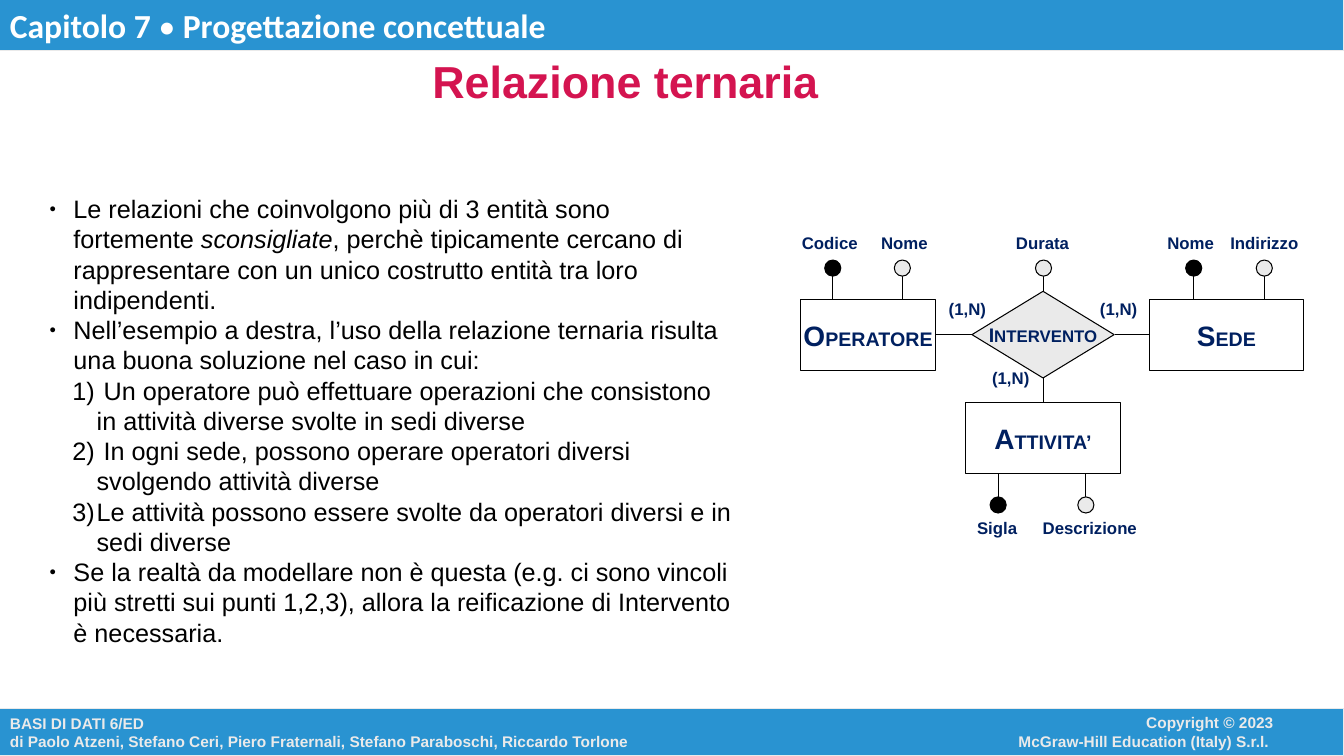
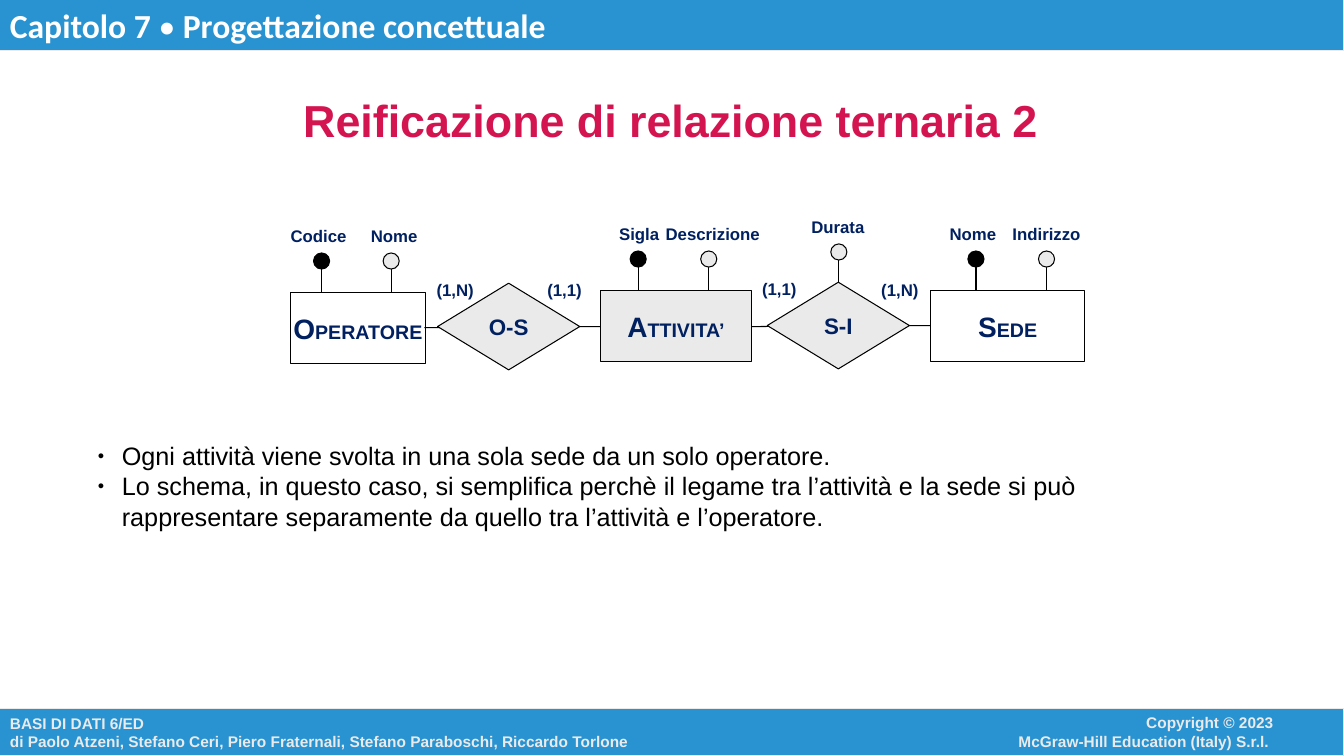
"""Build two slides on ternary relationships in entity-relationship schemas."""
from dataclasses import dataclass
from typing import Optional

from lxml import etree
from pptx import Presentation
from pptx.dml.color import RGBColor
from pptx.enum import shapes, text
from pptx.oxml import ns
from pptx.util import Inches, Pt

BLUE = RGBColor(0x29, 0x93, 0xD1)
CRIMSON = RGBColor(0xD4, 0x14, 0x50)
NAVY = RGBColor(0x00, 0x20, 0x60)
GRAY = RGBColor(0xEA, 0xEA, 0xEA)
BLACK = RGBColor(0, 0, 0)
WHITE = RGBColor(255, 255, 255)

RECT = shapes.MSO_SHAPE.RECTANGLE
DIAMOND = shapes.MSO_SHAPE.DIAMOND
OVAL = shapes.MSO_SHAPE.OVAL
LEFT, CENTER, RIGHT = text.PP_ALIGN.LEFT, text.PP_ALIGN.CENTER, text.PP_ALIGN.RIGHT
TOP, MIDDLE = text.MSO_ANCHOR.TOP, text.MSO_ANCHOR.MIDDLE

PAGE_WIDTH, PAGE_HEIGHT = 13.33, 7.5
ENTITY_HEIGHT = 0.71
DIAMOND_WIDTH, DIAMOND_HEIGHT = 1.41, 0.86
BALL, STEM, LABEL_HEIGHT = 0.16, 0.31, 0.3
LABEL_WIDTHS = {
    "Codice": 0.75, "Nome": 0.66, "Durata": 0.72, "Indirizzo": 0.87,
    "Sigla": 0.6, "Descrizione": 1.13, "(1,N)": 0.57, "(1,1)": 0.54,
}


@dataclass(frozen=True)
class Span:
    """A stretch of text with its own emphasis."""
    text: str
    size: Optional[int] = None
    bold: Optional[bool] = None
    italic: Optional[bool] = None


@dataclass(frozen=True)
class Style:
    """The look of a paragraph."""
    size: int
    color: RGBColor
    bold: bool = True
    align: text.PP_ALIGN = LEFT
    font: str = "Arial"


@dataclass(frozen=True)
class Node:
    """An entity or a relationship with its name."""
    shape: shapes.MSO_SHAPE
    left: float
    top: float
    width: float
    name: tuple[Span, ...]
    fill: Optional[RGBColor] = None


@dataclass(frozen=True)
class Attribute:
    """A labelled ball on a stem that leaves a node edge."""
    label: str
    x: float
    edge: float
    label_x: float
    key: bool = False
    below: bool = False


@dataclass(frozen=True)
class Link:
    """A straight line between two points."""
    x1: float
    y1: float
    x2: float
    y2: float


@dataclass(frozen=True)
class Cardinality:
    """A participation constraint beside a link."""
    label: str
    left: float
    top: float


@dataclass(frozen=True)
class Item:
    """A bulleted or numbered paragraph."""
    spans: tuple[Span, ...]
    numbered: bool = False


@dataclass(frozen=True)
class Topic:
    """Everything that one slide shows."""
    title: str
    title_at: tuple[float, float]
    nodes: tuple[Node, ...]
    attributes: tuple[Attribute, ...]
    links: tuple[Link, ...]
    cardinalities: tuple[Cardinality, ...]
    items: tuple[Item, ...]
    body: tuple[float, float, float, float]


LABEL = Style(12, NAVY, align=CENTER)
NAME = Style(20, NAVY, align=CENTER)
TITLE = Style(32, CRIMSON, align=CENTER)
HEADER = Style(24, WHITE, font="Calibri")
FOOTER = Style(11, GRAY)
COPYRIGHT = Style(11, GRAY, align=RIGHT)
BODY = Style(18, BLACK, bold=False)


def small_caps(name: str, large: int = 20, small: int = 14) -> tuple[Span, ...]:
    """Split a name into a large initial and smaller capitals."""
    return Span(name[0], large), Span(name[1:], small)


def entity(name: str, left: float, top: float, width: float,
           fill: Optional[RGBColor] = None) -> Node:
    """Describe an entity."""
    return Node(RECT, left, top, width, small_caps(name), fill)


def relationship(name: tuple[Span, ...], left: float, top: float) -> Node:
    """Describe a relationship."""
    return Node(DIAMOND, left, top, DIAMOND_WIDTH, name, GRAY)


def write(para, spans: tuple[Span, ...], style: Style) -> None:
    """Fill a paragraph with styled spans."""
    para.alignment = style.align
    font = para.font
    font.name, font.size, font.bold = style.font, Pt(style.size), style.bold
    font.color.rgb = style.color
    for span in spans:
        run = para.add_run()
        run.text = span.text
        if span.size is not None:
            run.font.size = Pt(span.size)
        if span.bold is not None:
            run.font.bold = span.bold
        if span.italic is not None:
            run.font.italic = span.italic


def set_frame(box, anchor: text.MSO_ANCHOR, wrap: bool):
    """Set anchoring and wrapping, drop side margins of unwrapped text, return the frame."""
    frame = box.text_frame
    frame.vertical_anchor, frame.word_wrap = anchor, wrap
    if not wrap:
        frame.margin_left = frame.margin_right = 0
    return frame


def add_text(page, left: float, top: float, width: float, height: float,
             lines: tuple[str, ...], style: Style,
             anchor: text.MSO_ANCHOR = TOP, wrap: bool = True) -> None:
    """Add a text box with one paragraph per line."""
    box = page.shapes.add_textbox(*map(Inches, (left, top, width, height)))
    frame = set_frame(box, anchor, wrap)
    for index, line in enumerate(lines):
        para = frame.add_paragraph() if index else frame.paragraphs[0]
        write(para, (Span(line),), style)


def add_shape(page, kind: shapes.MSO_SHAPE, left: float, top: float, width: float,
              height: float, fill: Optional[RGBColor], line: RGBColor = BLACK):
    """Add an outlined preset shape."""
    shape = page.shapes.add_shape(kind, *map(Inches, (left, top, width, height)))
    shape.shadow.inherit = False
    if fill is None:
        shape.fill.background()
    else:
        shape.fill.solid()
        shape.fill.fore_color.rgb = fill
    shape.line.color.rgb = line
    shape.line.width = Pt(0.75)
    return shape


def add_link(page, link: Link) -> None:
    """Draw a thin black line."""
    ends = map(Inches, (link.x1, link.y1, link.x2, link.y2))
    line = page.shapes.add_connector(shapes.MSO_CONNECTOR.STRAIGHT, *ends)
    line.line.color.rgb = BLACK
    line.line.width = Pt(0.75)
    etree.SubElement(line._element.spPr, ns.qn("a:effectLst"))


def add_label(page, label: str, left: float, top: float) -> None:
    """Add a small diagram label."""
    add_text(page, left, top, LABEL_WIDTHS[label], LABEL_HEIGHT, (label,), LABEL, wrap=False)


def add_attribute(page, attribute: Attribute) -> None:
    """Draw an attribute with its stem, ball and label."""
    y = attribute.edge + (STEM if attribute.below else -STEM)
    add_link(page, Link(attribute.x, y, attribute.x, attribute.edge))
    add_shape(page, OVAL, attribute.x - BALL / 2, y - BALL / 2, BALL, BALL,
              BLACK if attribute.key else GRAY)
    left = attribute.label_x - LABEL_WIDTHS[attribute.label] / 2
    add_label(page, attribute.label, left, y + (0.08 if attribute.below else -0.4))


def add_node(page, node: Node) -> None:
    """Draw an entity or a relationship."""
    height = ENTITY_HEIGHT if node.shape == RECT else DIAMOND_HEIGHT
    shape = add_shape(page, node.shape, node.left, node.top, node.width, height, node.fill)
    write(set_frame(shape, MIDDLE, False).paragraphs[0], node.name, NAME)


def set_bullet(para, numbered: bool) -> None:
    """Give a paragraph a hanging dot or number."""
    properties = para._p.get_or_add_pPr()
    properties.set("marL", str(Inches(0.47 if numbered else 0.24)))
    properties.set("indent", str(Inches(-0.24)))
    color = etree.SubElement(properties, ns.qn("a:buClr"))
    etree.SubElement(color, ns.qn("a:srgbClr"), val=str(BLACK))
    if numbered:
        para.level = 1
        etree.SubElement(properties, ns.qn("a:buAutoNum"), type="arabicParenR")
    else:
        etree.SubElement(properties, ns.qn("a:buSzPct"), val="45000")
        etree.SubElement(properties, ns.qn("a:buFont"), typeface=BODY.font)
        etree.SubElement(properties, ns.qn("a:buChar"), char="●")


def add_items(page, items: tuple[Item, ...], place: tuple[float, ...]) -> None:
    """Add the body list."""
    box = page.shapes.add_textbox(*map(Inches, place))
    frame = set_frame(box, TOP, True)
    for index, item in enumerate(items):
        para = frame.add_paragraph() if index else frame.paragraphs[0]
        set_bullet(para, item.numbered)
        write(para, item.spans, BODY)


def add_bands(page) -> None:
    """Draw the header and footer that all slides share."""
    add_shape(page, RECT, 0, 7.03, PAGE_WIDTH, 0.47, BLUE, GRAY)
    add_text(page, 0, 7.03, 8.8, 0.47, (
        "BASI DI DATI 6/ED",
        "di Paolo Atzeni, Stefano Ceri, Piero Fraternali, Stefano Paraboschi, Riccardo Torlone",
    ), FOOTER, MIDDLE)
    add_text(page, 8.89, 7.03, 3.84, 0.46,
             ("Copyright © 2023", "McGraw-Hill Education (Italy) S.r.l. "), COPYRIGHT)
    header = add_shape(page, RECT, 0, 0, PAGE_WIDTH, 0.5, BLUE, GRAY)
    spans = Span("Capitolo 7 "), Span("•", bold=False), Span(" Progettazione concettuale")
    write(set_frame(header, TOP, True).paragraphs[0], spans, HEADER)


def add_topic(deck, topic: Topic) -> None:
    """Add one complete slide."""
    page = deck.slides.add_slide(deck.slide_layouts[6])
    add_bands(page)
    add_text(page, *topic.title_at, 10.21, 0.39, (topic.title,), TITLE, MIDDLE)
    for link in topic.links:
        add_link(page, link)
    for attribute in topic.attributes:
        add_attribute(page, attribute)
    for node in topic.nodes:
        add_node(page, node)
    for cardinality in topic.cardinalities:
        add_label(page, cardinality.label, cardinality.left, cardinality.top)
    add_items(page, topic.items, topic.body)


TERNARY = Topic(
    "Relazione ternaria", (1.1, 0.6),
    (entity("OPERATORE", 7.94, 2.97, 1.34), entity("SEDE", 11.4, 2.97, 1.53),
     entity("ATTIVITA’", 9.58, 3.99, 1.53),
     relationship(small_caps("INTERVENTO", 14, 12), 9.64, 2.89)),
    (Attribute("Codice", 8.26, 2.97, 8.23, key=True), Attribute("Nome", 8.95, 2.97, 8.97),
     Attribute("Durata", 10.35, 2.97, 10.34),
     Attribute("Nome", 11.84, 2.97, 11.81, key=True), Attribute("Indirizzo", 12.54, 2.97, 12.54),
     Attribute("Sigla", 9.9, 4.7, 9.89, key=True, below=True),
     Attribute("Descrizione", 10.77, 4.7, 10.81, below=True)),
    (Link(9.28, 3.32, 9.64, 3.32), Link(11.06, 3.32, 11.4, 3.32), Link(10.35, 3.75, 10.35, 3.99)),
    (Cardinality("(1,N)", 9.31, 2.91), Cardinality("(1,N)", 10.81, 2.91),
     Cardinality("(1,N)", 9.74, 3.6)),
    (Item((Span("Le relazioni che coinvolgono più di 3 entità sono fortemente "),
           Span("sconsigliate", italic=True),
           Span(", perchè tipicamente cercano di rappresentare con un unico costrutto entità tra loro indipendenti."))),
     Item((Span("Nell’esempio a destra, l’uso della relazione ternaria risulta una buona soluzione nel caso in cui:"),)),
     Item((Span(" Un operatore può effettuare operazioni che consistono in attività diverse svolte in sedi diverse"),), True),
     Item((Span(" In ogni sede, possono operare operatori diversi svolgendo attività diverse"),), True),
     Item((Span("Le attività possono essere svolte da operatori diversi e in sedi diverse"),), True),
     Item((Span("Se la realtà da modellare non è questa (e.g. ci sono vincoli più stretti sui punti 1,2,3), allora la reificazione di Intervento è necessaria."),))),
    (0.39, 1.87, 7.01, 4.55))

REIFIED = Topic(
    "Reificazione di relazione ternaria 2", (1.55, 0.99),
    (entity("OPERATORE", 2.88, 2.9, 1.34), entity("ATTIVITA’", 5.96, 2.88, 1.49, GRAY),
     entity("SEDE", 9.23, 2.88, 1.53),
     relationship((Span("O-S", 16),), 4.34, 2.81), relationship((Span("S-I", 16),), 7.61, 2.8)),
    (Attribute("Codice", 3.19, 2.9, 3.16, key=True), Attribute("Nome", 3.88, 2.9, 3.91),
     Attribute("Sigla", 6.33, 2.88, 6.34, key=True), Attribute("Descrizione", 7.03, 2.88, 7.07),
     Attribute("Durata", 8.32, 2.81, 8.31),
     Attribute("Nome", 9.68, 2.88, 9.65, key=True), Attribute("Indirizzo", 10.38, 2.88, 10.38)),
    (Link(4.21, 3.25, 5.96, 3.24), Link(7.45, 3.24, 9.23, 3.23)),
    (Cardinality("(1,N)", 4.23, 2.73), Cardinality("(1,1)", 5.33, 2.73),
     Cardinality("(1,1)", 7.46, 2.72), Cardinality("(1,N)", 8.64, 2.73)),
    (Item((Span("Ogni attività viene svolta in una sola sede da un solo operatore."),)),
     Item((Span("Lo schema, in questo caso, si semplifica perchè il legame tra l’attività e la sede si può rappresentare separamente da quello tra l’attività e l’operatore."),))),
    (0.87, 4.32, 11.21, 2.07))


def main() -> None:
    """Build and save the deck."""
    deck = Presentation()
    deck.slide_width, deck.slide_height = Inches(PAGE_WIDTH), Inches(PAGE_HEIGHT)
    for topic in (TERNARY, REIFIED):
        add_topic(deck, topic)
    deck.save("out.pptx")


if __name__ == "__main__":
    main()
